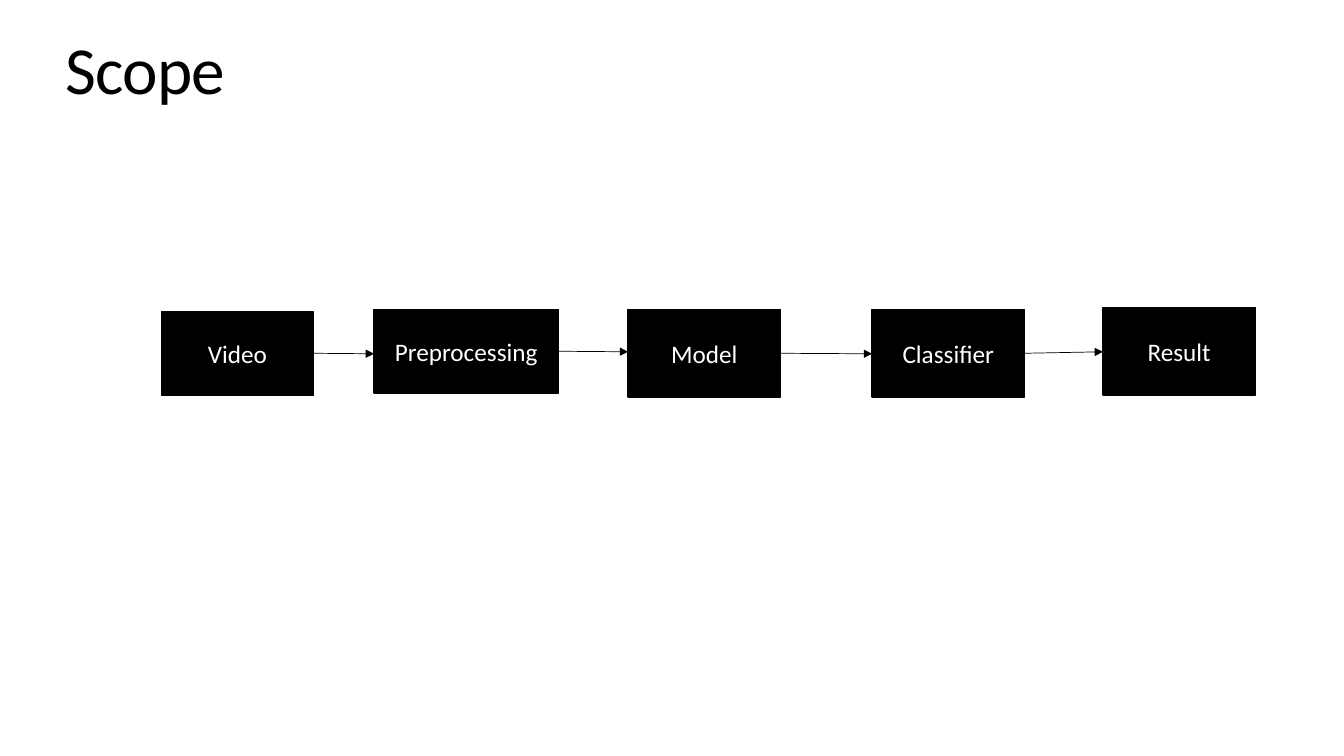
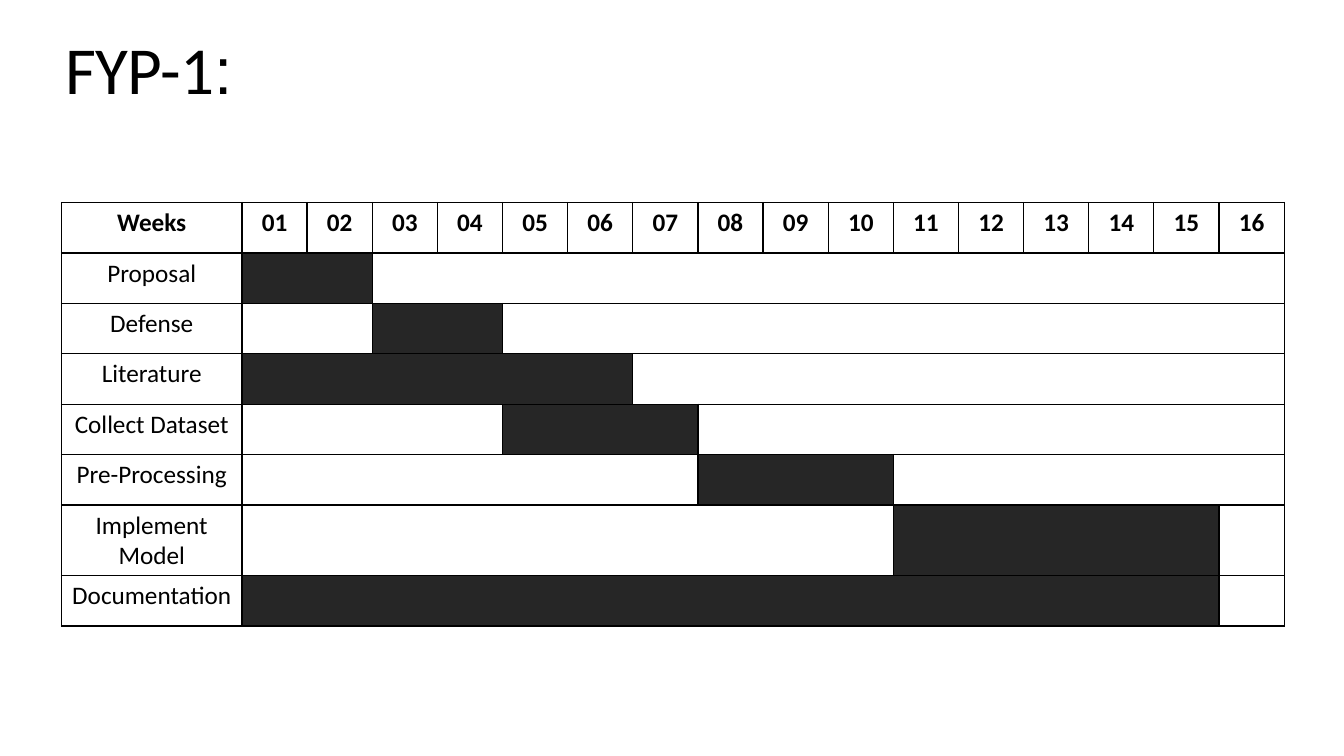
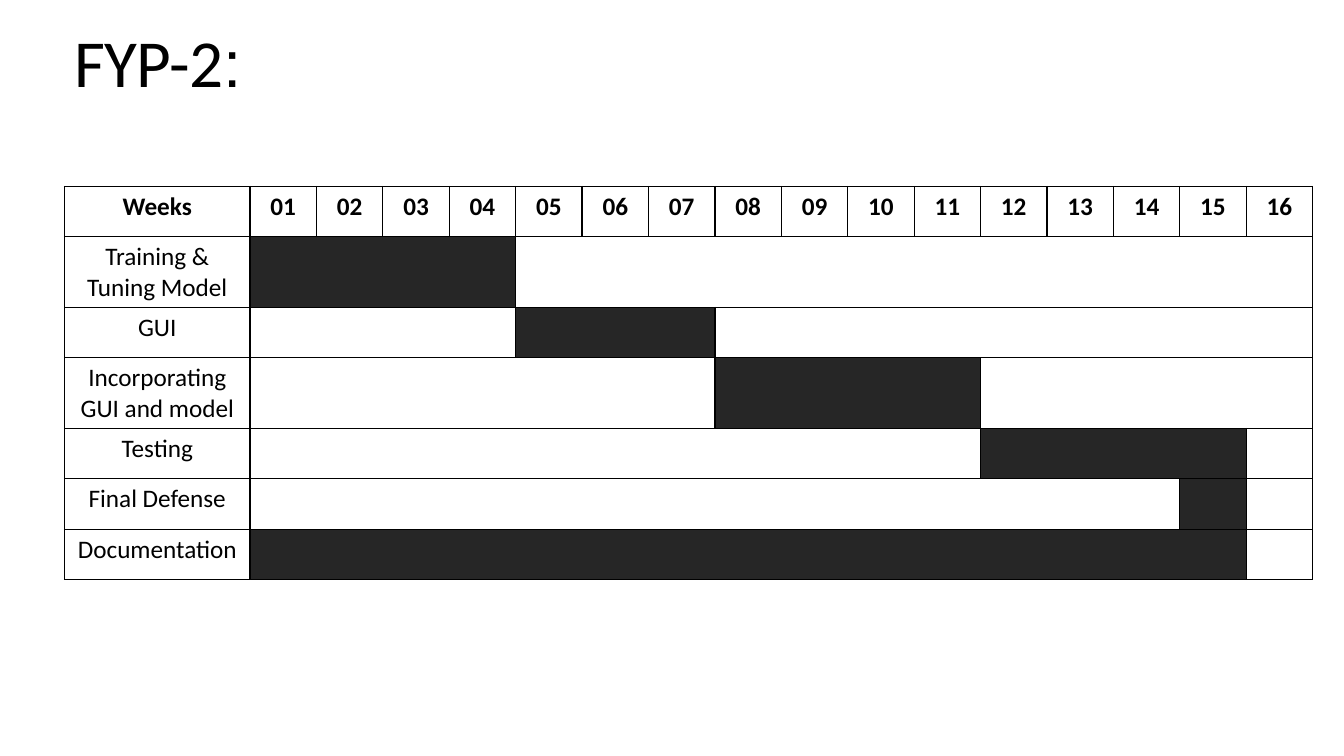
from itertools import pairwise

from lxml.etree import SubElement
from pptx import Presentation
from pptx.dml.color import RGBColor
from pptx.enum.shapes import MSO_CONNECTOR, MSO_SHAPE
from pptx.enum.text import MSO_ANCHOR, PP_ALIGN
from pptx.oxml import parse_xml
from pptx.oxml.ns import nsdecls, qn
from pptx.util import Inches, Pt

COLORS = {"black": "000000", "white": "FFFFFF", "busy": "262626"}
FONT = "Calibri"
TITLE_SIZE = 48
BODY_SIZE = 18
WEEKS = 16
ROW_HEIGHT = 0.5
BORDER_WIDTH = 0.96

# label, left, top, width, height, height at which the incoming arrow ends
STAGES = [
    ("Video", 1.6, 3.09, 1.51, 0.83, None),
    ("Preprocessing", 3.71, 3.07, 1.83, 0.83, 3.51),
    ("Model", 6.23, 3.07, 1.51, 0.87, 3.49),
    ("Classifier", 8.65, 3.07, 1.51, 0.87, 3.51),
    ("Result", 10.94, 3.05, 1.51, 0.87, 3.49),
]

# task, first week, last week
FIRST_PLAN = [
    ("Proposal", 1, 2),
    ("Defense", 3, 4),
    ("Literature", 1, 6),
    ("Collect Dataset", 5, 7),
    ("Pre-Processing", 8, 10),
    ("Implement Model", 11, 15),
    ("Documentation", 1, 15),
]
SECOND_PLAN = [
    ("Training & Tuning Model", 1, 4),
    ("GUI", 5, 7),
    ("Incorporating GUI and model", 8, 11),
    ("Testing", 12, 15),
    ("Final Defense", 15, 15),
    ("Documentation", 1, 15),
]


def rgb(name):
    """Return the named colour."""
    return RGBColor.from_string(COLORS[name])


def format_run(run, size, color="black", bold=False, font=FONT):
    """Set the font of one run."""
    run.font.name = font
    run.font.size = Pt(size)
    run.font.bold = bold
    run.font.color.rgb = rgb(color)


def add_slide(presentation):
    """Add a slide on the blank layout."""
    return presentation.slides.add_slide(presentation.slide_layouts[6])


def add_title(slide, text, left, top, width, height, line_spacing=0.9, spacing=-40, colon=False):
    """Add the slide title, with an Arial colon on request."""
    box = slide.shapes.add_textbox(Inches(left), Inches(top), Inches(width), Inches(height))
    box.text_frame.word_wrap = True
    paragraph = box.text_frame.paragraphs[0]
    paragraph.text = text
    paragraph.line_spacing = line_spacing
    format_run(paragraph.runs[0], TITLE_SIZE)
    if colon:
        run = paragraph.add_run()
        run.text = ":"
        format_run(run, TITLE_SIZE - 1, font="Arial")
    for run in paragraph.runs:
        run.font._element.set("spc", str(spacing))


def add_stage(slide, label, left, top, width, height):
    """Add one black box of the pipeline."""
    shape = slide.shapes.add_shape(
        MSO_SHAPE.RECTANGLE, Inches(left), Inches(top), Inches(width), Inches(height))
    shape.shadow.inherit = False
    shape.fill.solid()
    shape.fill.fore_color.rgb = rgb("black")
    shape.line.color.rgb = rgb("black")
    shape.line.width = Pt(1)
    shape.text_frame.text = label
    shape.text_frame.word_wrap = True
    shape.text_frame.vertical_anchor = MSO_ANCHOR.MIDDLE
    paragraph = shape.text_frame.paragraphs[0]
    paragraph.alignment = PP_ALIGN.CENTER
    format_run(paragraph.runs[0], BODY_SIZE, "white")


def add_arrow(slide, start_x, start_y, end_x, end_y):
    """Add a thin line with a triangle at its end."""
    arrow = slide.shapes.add_connector(
        MSO_CONNECTOR.STRAIGHT, Inches(start_x), Inches(start_y), Inches(end_x), Inches(end_y))
    arrow.line.color.rgb = rgb("black")
    arrow.line.width = Pt(0.5)
    SubElement(arrow.line._get_or_add_ln(), qn("a:tailEnd"), type="triangle")
    SubElement(arrow._element.spPr, qn("a:effectLst"))


def style_cell(cell, color="white"):
    """Fill a cell and draw its four borders."""
    cell.fill.solid()
    cell.fill.fore_color.rgb = rgb(color)
    properties = cell._tc.get_or_add_tcPr()
    for index, side in enumerate(("lnL", "lnR", "lnT", "lnB")):
        border = parse_xml(
            f'<a:{side} {nsdecls("a")} w="{Pt(BORDER_WIDTH)}"><a:solidFill>'
            f'<a:srgbClr val="{COLORS["black"]}"/></a:solidFill></a:{side}>')
        properties.insert(index, border)


def write_cell(cell, text, bold=False):
    """Write centred text in a cell."""
    cell.text_frame.text = text
    paragraph = cell.text_frame.paragraphs[0]
    paragraph.alignment = PP_ALIGN.CENTER
    format_run(paragraph.runs[0], BODY_SIZE, bold=bold)


def add_schedule(slide, tasks, left, top, width, label_width):
    """Add a week table in which merged dark cells mark the busy weeks."""
    row_count = len(tasks) + 1
    table = slide.shapes.add_table(
        row_count, WEEKS + 1, Inches(left), Inches(top),
        Inches(width), Inches(ROW_HEIGHT * row_count)).table
    table.first_row = table.horz_banding = False
    for row in table.rows:
        row.height = Inches(ROW_HEIGHT)
    for column in table.columns:
        column.width = Inches((width - label_width) / WEEKS)
    table.columns[0].width = Inches(label_width)

    for week in range(WEEKS + 1):
        style_cell(table.cell(0, week))
        write_cell(table.cell(0, week), f"{week:02}" if week else "Weeks", bold=True)
    for row, (task, first, last) in enumerate(tasks, 1):
        for column in range(WEEKS + 1):
            style_cell(table.cell(row, column), "busy" if first <= column <= last else "white")
        write_cell(table.cell(row, 0), task)
        for start, end in ((1, first - 1), (first, last), (last + 1, WEEKS)):
            if start < end:
                table.cell(row, start).merge(table.cell(row, end))


def build_scope(presentation):
    """Build the pipeline slide."""
    slide = add_slide(presentation)
    add_title(slide, "Scope", 0.55, 0.31, 11.65, 1.05, spacing=-50)
    for stage in STAGES:
        add_stage(slide, *stage[:5])
    for source, target in pairwise(STAGES):
        _, left, top, width, height, _ = source
        add_arrow(slide, left + width, top + height / 2, target[1], target[5])


def build_first_plan(presentation):
    """Build the schedule of the first project part."""
    slide = add_slide(presentation)
    add_title(slide, "FYP-1", 0.55, 0.31, 11.65, 0.75, colon=True)
    add_schedule(slide, FIRST_PLAN, 0.61, 2.01, 12.13, 1.79)


def build_second_plan(presentation):
    """Build the schedule of the second project part."""
    slide = add_slide(presentation)
    add_title(slide, "FYP-2", 0.64, 0.15, 6.66, 1.2, line_spacing=1.0, colon=True)
    add_schedule(slide, SECOND_PLAN, 0.64, 1.85, 12.38, 1.84)


def main():
    """Build and save the presentation."""
    presentation = Presentation()
    presentation.slide_width = Inches(13.33)
    presentation.slide_height = Inches(7.5)
    build_scope(presentation)
    build_first_plan(presentation)
    build_second_plan(presentation)
    presentation.save("out.pptx")


main()
